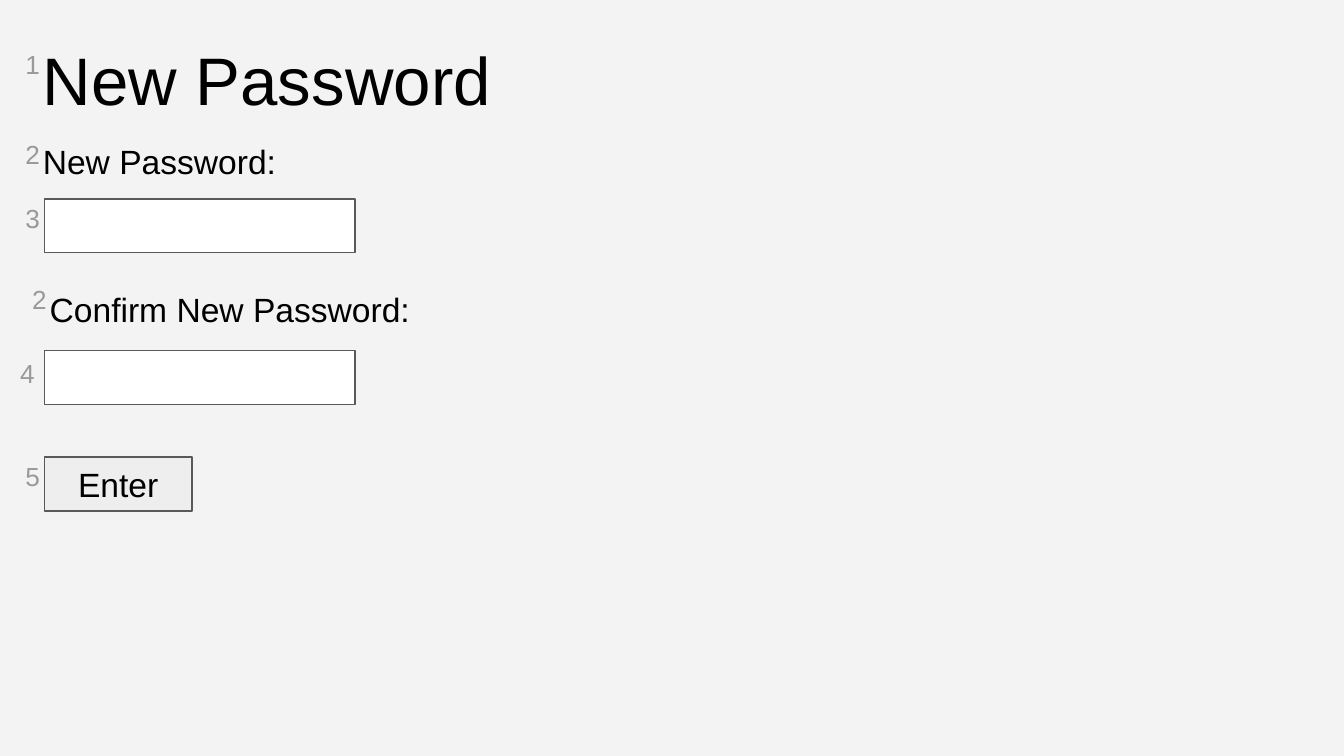
from dataclasses import dataclass

from pptx import Presentation
from pptx.dml.color import RGBColor
from pptx.enum.shapes import MSO_SHAPE
from pptx.enum.text import MSO_ANCHOR, PP_ALIGN
from pptx.util import Cm, Pt

RECT = MSO_SHAPE.RECTANGLE
MIDDLE = MSO_ANCHOR.MIDDLE
CENTER = PP_ALIGN.CENTER

FONT = "Arial"
BLACK, GREY, BORDER = "000000", "999999", "595959"
INSET = Cm(0.25)
FIELD_LEFT, FIELD_HEIGHT = 0.84, 1.02
LABEL_HEIGHT = 1.93
MARK_WIDTH, MARK_HEIGHT = 1.24, 1.35


@dataclass
class Label:
    text: str
    left: float
    top: float
    width: float
    size: int = 18


@dataclass
class Field:
    top: float
    width: float = 5.87
    fill: str = "FFFFFF"
    text: str = ""


@dataclass
class Mark:
    text: str
    top: float
    left: float = 0.23


LABELS = [
    Label("New Password", 0.56, 0.48, 11.94, 36),
    Label("New Password:", 0.56, 2.41, 6.81),
    Label("Confirm New Password:", 0.69, 5.21, 7.57),
]
FIELDS = [
    Field(3.76),
    Field(6.63),
    Field(8.64, 2.79, "EEEEEE", "Enter"),
]
MARKS = [
    Mark("1", 0.66),
    Mark("2", 2.36),
    Mark("3", 3.58),
    Mark("2", 5.11, 0.36),
    Mark("4", 6.5, 0.13),
    Mark("5", 8.46),
]


def rgb(value: str) -> RGBColor:
    return RGBColor.from_string(value)


def write(sp, text: str, size: int, color: str) -> None:
    tf = sp.text_frame
    tf.word_wrap = True
    tf.margin_left = tf.margin_right = INSET
    tf.margin_top = tf.margin_bottom = INSET
    tf.text = text
    for r in tf.paragraphs[0].runs:
        r.font.name = FONT
        r.font.size = Pt(size)
        r.font.color.rgb = rgb(color)


def add_label(s, label: Label) -> None:
    sp = s.shapes.add_textbox(Cm(label.left), Cm(label.top),
                              Cm(label.width), Cm(LABEL_HEIGHT))
    write(sp, label.text, label.size, BLACK)


def add_field(s, field: Field) -> None:
    sp = s.shapes.add_shape(RECT, Cm(FIELD_LEFT), Cm(field.top),
                            Cm(field.width), Cm(FIELD_HEIGHT))
    sp.shadow.inherit = False
    sp.fill.solid()
    sp.fill.fore_color.rgb = rgb(field.fill)
    sp.line.color.rgb = rgb(BORDER)
    sp.line.width = Pt(0.75)
    if field.text:
        write(sp, field.text, 18, BLACK)
        sp.text_frame.vertical_anchor = MIDDLE
        sp.text_frame.paragraphs[0].alignment = CENTER


def add_mark(s, mark: Mark) -> None:
    sp = s.shapes.add_textbox(Cm(mark.left), Cm(mark.top),
                              Cm(MARK_WIDTH), Cm(MARK_HEIGHT))
    write(sp, mark.text, 14, GREY)


def main() -> None:
    prs = Presentation()
    prs.slide_width, prs.slide_height = Cm(25.4), Cm(14.29)
    s = prs.slides.add_slide(prs.slide_layouts[6])
    s.background.fill.solid()
    s.background.fill.fore_color.rgb = rgb("F3F3F3")

    # Title and field captions
    for label in LABELS:
        add_label(s, label)

    # Input boxes and button
    for field in FIELDS:
        add_field(s, field)

    # Reading-order numbers
    for mark in MARKS:
        add_mark(s, mark)

    prs.save("out.pptx")


if __name__ == "__main__":
    main()
